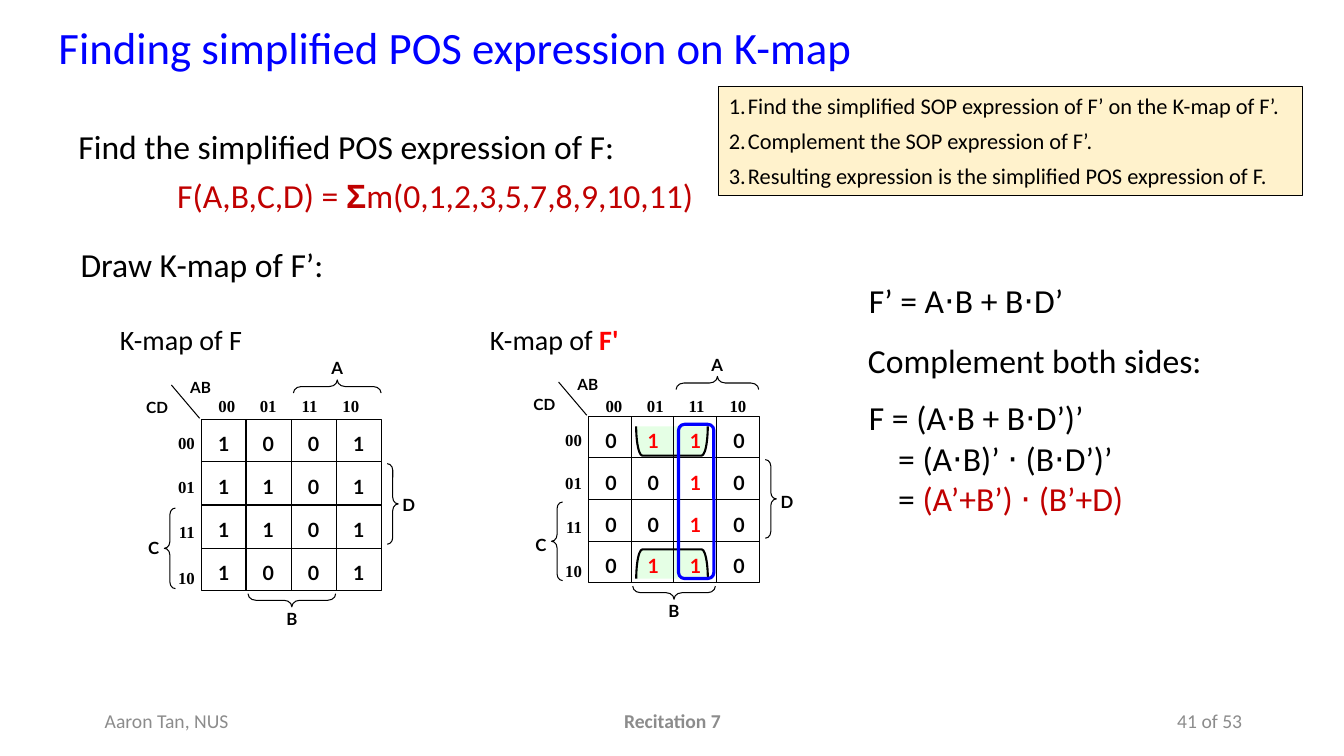
from lxml import etree
from pptx import Presentation
from pptx.dml.color import RGBColor
from pptx.enum.shapes import MSO_CONNECTOR, MSO_SHAPE
from pptx.enum.text import MSO_ANCHOR, MSO_AUTO_SIZE, PP_ALIGN
from pptx.oxml.ns import qn
from pptx.util import Pt

LEFT, CENTER, RIGHT = PP_ALIGN.LEFT, PP_ALIGN.CENTER, PP_ALIGN.RIGHT
TOP, MIDDLE = MSO_ANCHOR.TOP, MSO_ANCHOR.MIDDLE
RECTANGLE, ROUNDED = MSO_SHAPE.RECTANGLE, MSO_SHAPE.ROUNDED_RECTANGLE
LEFT_BRACE, RIGHT_BRACE = MSO_SHAPE.LEFT_BRACE, MSO_SHAPE.RIGHT_BRACE
LEFT_BRACKET = MSO_SHAPE.LEFT_BRACKET
STRAIGHT = MSO_CONNECTOR.STRAIGHT

EMU_PER_PX = 9144  # 100 px to the inch
COLORS = {"black": "000000", "title": "0000FF", "grey": "8C8C8C", "answer": "C00000",
          "one": "FF0000", "loop": "0000FF", "pair": "CCFFCC", "steps": "FFF2CC"}

TITLE = "Finding simplified POS expression on K-map"
STEPS = ["Find the simplified SOP expression of F’ on the K-map of F’.",
         "Complement the SOP expression of F’.",
         "Resulting expression is the simplified POS expression of F."]
STEPS_BOX = (713, 86, 579, 108)

# box, size, color, alignment, anchor, space after, paragraphs as (indent, runs)
# a run is its text and what differs from the box: color, bold, font
TEXTS = [
    ((94, 695, 300, 40), 14, "grey", LEFT, MIDDLE, 0, [(0, [("Aaron Tan, NUS", {})])]),
    ((442, 695, 450, 40), 14, "grey", CENTER, MIDDLE, 0,
     [(0, [("Recitation 7", {"bold": True})])]),
    ((942, 695, 300, 40), 14, "grey", RIGHT, MIDDLE, 0, [(0, [("41 of 53", {})])]),
    ((68, 120, 663, 99), 24, "black", LEFT, TOP, 6,
     [(0, [("Find the simplified POS expression of F:", {})]),
      (98, [("F(A,B,C,D) = ", {"color": "answer"}),
            ("Σ", {"color": "answer", "bold": True, "font": "Arial"}),
            ("m(0,1,2,3,5,7,8,9,10,11)", {"color": "answer"})])]),
    ((70, 237, 271, 50), 24, "black", LEFT, TOP, 0, [(0, [("Draw K-map of F’:", {})])]),
    ((109, 315, 153, 44), 20, "black", LEFT, TOP, 0, [(0, [("K-map of F", {})])]),
    ((476, 315, 171, 44), 20, "black", LEFT, TOP, 0,
     [(0, [("K-map of ", {}), ("F'", {"color": "one", "bold": True})])]),
    ((852, 273, 262, 50), 24, "black", LEFT, TOP, 0, [(0, [("F’ = A⋅B + B⋅D’", {})])]),
    ((851, 332, 373, 50), 24, "black", LEFT, TOP, 0, [(0, [("Complement both sides:", {})])]),
    ((852, 389, 339, 131), 24, "black", LEFT, TOP, 0,
     [(0, [("F = (A⋅B + B⋅D’)’", {})]),
      (29, [("= (A⋅B)’ ⋅ (B⋅D’)’", {})]),
      (29, [("= ", {}), ("(A’+B’) ⋅ (B’+D)", {"color": "answer"})])]),
]

GRAY_CODE = ["00", "01", "11", "10"]
F_ROWS = ["1001", "1101", "1101", "1001"]
COMPLEMENT_ROWS = [row.translate(str.maketrans("01", "10")) for row in F_ROWS]
F_GRID = (200, 416, 178, 170)
COMPLEMENT_GRID = (584, 413, 169, 165)
PAIR_BRACKETS = [((652, 524, 29, 71), 90), ((652, 402, 29, 71), 270)]
AB_LOOP = (673, 421, 35, 153)


def px(*lengths):
    return [round(length) * EMU_PER_PX for length in lengths]


def rgb(name):
    return RGBColor.from_string(COLORS[name])


def format_run(run, size, color, font="Calibri", bold=False):
    run.font.size, run.font.name, run.font.bold = Pt(size), font, bold
    run.font.color.rgb = rgb(color)


def add_shape(shapes, kind, box, line=0.75, line_color="black", fill=None, rotation=0, adjust=None):
    shape = shapes.add_shape(kind, *px(*box))
    shape.shadow.inherit = False
    shape.rotation = rotation
    shape.line.width = Pt(line)
    shape.line.color.rgb = rgb(line_color)
    if fill:
        shape.fill.solid()
        shape.fill.fore_color.rgb = rgb(fill)
    else:
        shape.fill.background()
    if adjust is not None:
        shape.adjustments[0] = adjust
    return shape


def add_line(shapes, start, end):
    line = shapes.add_connector(STRAIGHT, *px(*start, *end))
    line.line.width = Pt(0.75)
    line.line.color.rgb = rgb("black")
    etree.SubElement(line.element.spPr, qn("a:effectLst"))


def add_label(shapes, text, box, size, color="black", font="Lato", align=CENTER):
    frame = shapes.add_textbox(*px(*box)).text_frame
    frame.word_wrap = True
    frame.text = text
    frame.paragraphs[0].alignment = align
    format_run(frame.paragraphs[0].runs[0], size, color, font, True)


def add_text(slide, box, size, color, align, anchor, space_after, paragraphs):
    frame = slide.shapes.add_textbox(*px(*box)).text_frame
    frame.word_wrap = True
    frame.vertical_anchor = anchor
    for number, (indent, runs) in enumerate(paragraphs):
        paragraph = frame.add_paragraph() if number else frame.paragraphs[0]
        paragraph._p.get_or_add_pPr().set("marL", str(px(indent)[0]))
        paragraph.alignment = align
        paragraph.space_after = Pt(space_after)
        for text, changes in runs:
            run = paragraph.add_run()
            run.text = text
            format_run(run, size, **{"color": color, **changes})


def add_steps(slide):
    frame = add_shape(slide.shapes, RECTANGLE, STEPS_BOX, fill="steps").text_frame
    frame.word_wrap = True
    frame.vertical_anchor = TOP
    frame.text = "\n".join(STEPS)
    indent = px(19)[0]
    for paragraph in frame.paragraphs:
        properties = paragraph._p.get_or_add_pPr()
        properties.set("marL", str(indent))
        properties.set("indent", str(-indent))
        etree.SubElement(properties, qn("a:buAutoNum"), type="arabicPeriod")
        paragraph.alignment = LEFT
        paragraph.space_after = Pt(6)
        format_run(paragraph.runs[0], 16, "black")


def add_kmap(slide, grid, rows, one_color):
    """Draw a 4 by 4 K-map with its axis codes and variable braces."""
    shapes = slide.shapes.add_group_shape().shapes
    left, top, width, height = grid
    right, bottom = left + width, top + height
    cell_width, cell_height = width / 4, height / 4
    add_shape(shapes, RECTANGLE, grid)
    for i in range(1, 4):
        x, y = left + i * cell_width, top + i * cell_height
        add_line(shapes, (left, y), (right, y))
        add_line(shapes, (x, top), (x, bottom))
    add_line(shapes, (left - 2, top - 1), (left - 30, top - 34))

    for i, (code, row) in enumerate(zip(GRAY_CODE, rows)):
        add_label(shapes, code, (left - 36, top + 8 + i * (cell_height + 2), 39, 30), 12,
                  font="Times New Roman", align=RIGHT)
        add_label(shapes, code, (left + 5 + i * 41, 388, 40, 30), 12, font="Times New Roman")
        for j, digit in enumerate(row):
            add_label(shapes, digit, (left + j * cell_width, top + 8 + i * cell_height, 44, 34),
                      14, one_color if digit == "1" else "black")

    a_x, b_x = left + 3 * cell_width, left + 2 * cell_width
    span_x, span_y = 2 * cell_width - 2, 2 * cell_height - 5
    for kind, box, rotation in [
        (LEFT_BRACE, (a_x - 6, top - 33 - span_x / 2, 13, span_x), 90),
        (LEFT_BRACE, (b_x - 6, bottom + 10 - span_x / 2, 13, span_x), 270),
        (LEFT_BRACE, (left - 37, top + 2 * cell_height + 3, 11, span_y), 0),
        (RIGHT_BRACE, (right + 6, top + cell_height + 2, 11, span_y), 0),
    ]:
        add_shape(shapes, kind, box, rotation=rotation, adjust=0.6)
    for text, x, y, label_width, size in [
        ("A", a_x - 16, top - 66, 33, 12), ("B", b_x - 16, bottom + 13, 33, 12),
        ("C", left - 64, top + 113, 33, 12), ("D", right + 11, top + 70, 33, 12),
        ("CD", left - 74, top - 26, 60, 11), ("AB", left - 26, top - 46, 50, 11),
    ]:
        add_label(shapes, text, (x, y, label_width, 30), size)


def main():
    presentation = Presentation()
    presentation.slide_width, presentation.slide_height = px(1333, 750)
    slide = presentation.slides.add_slide(presentation.slide_layouts[5])

    title = slide.shapes.title
    title.left, title.top, title.width, title.height = px(48, 15, 1054, 76)
    title.text_frame.text = TITLE
    title.text_frame.vertical_anchor = TOP
    title.text_frame.auto_size = MSO_AUTO_SIZE.NONE
    title.text_frame.paragraphs[0].alignment = LEFT
    format_run(title.text_frame.paragraphs[0].runs[0], 32, "title")

    for text in TEXTS:
        add_text(slide, *text)
    add_kmap(slide, F_GRID, F_ROWS, "black")
    for box, rotation in PAIR_BRACKETS:
        bracket = add_shape(slide.shapes, LEFT_BRACKET, box, 1.5, fill="pair",
                            rotation=rotation, adjust=0.21)
        tint = bracket.element.spPr.find(qn("a:solidFill"))[0]
        etree.SubElement(tint, qn("a:alpha"), val="50000")
    add_kmap(slide, COMPLEMENT_GRID, COMPLEMENT_ROWS, "one")
    add_shape(slide.shapes, ROUNDED, AB_LOOP, 2.25, "loop")
    add_steps(slide)
    presentation.save("out.pptx")


if __name__ == "__main__":
    main()
